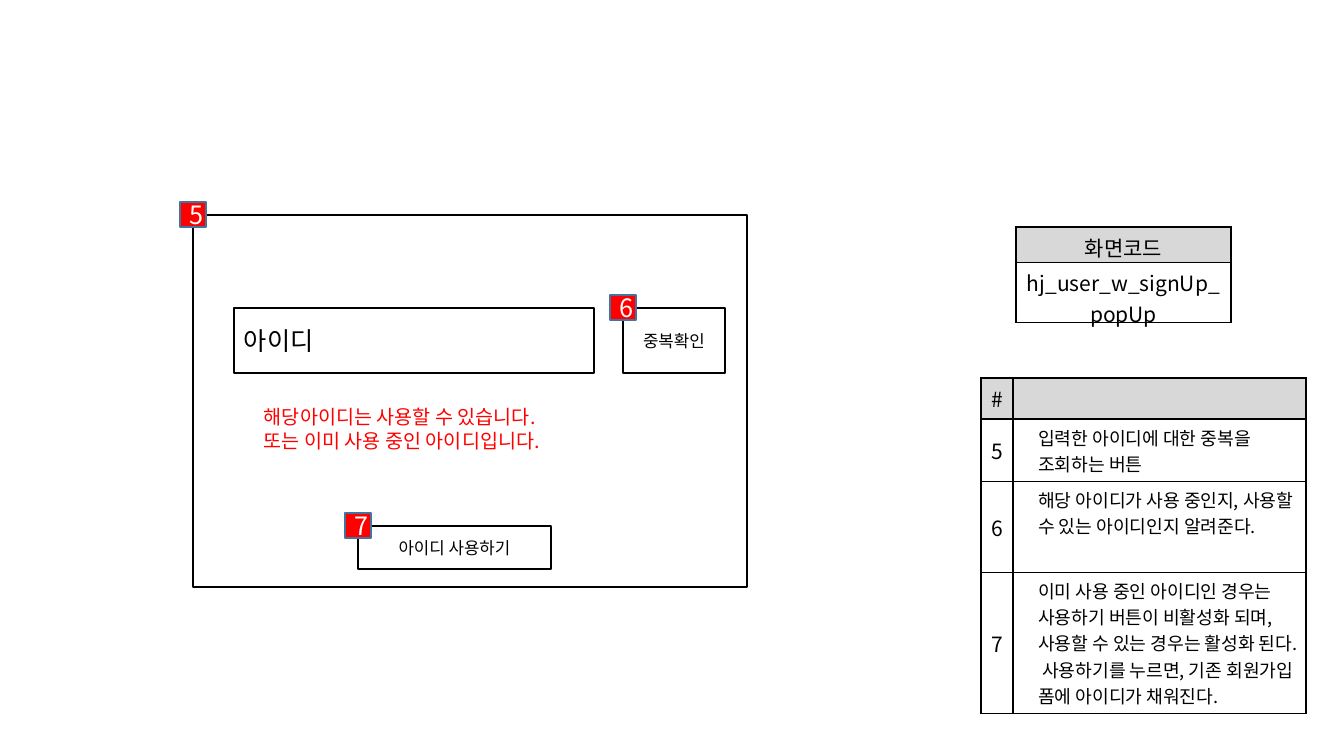
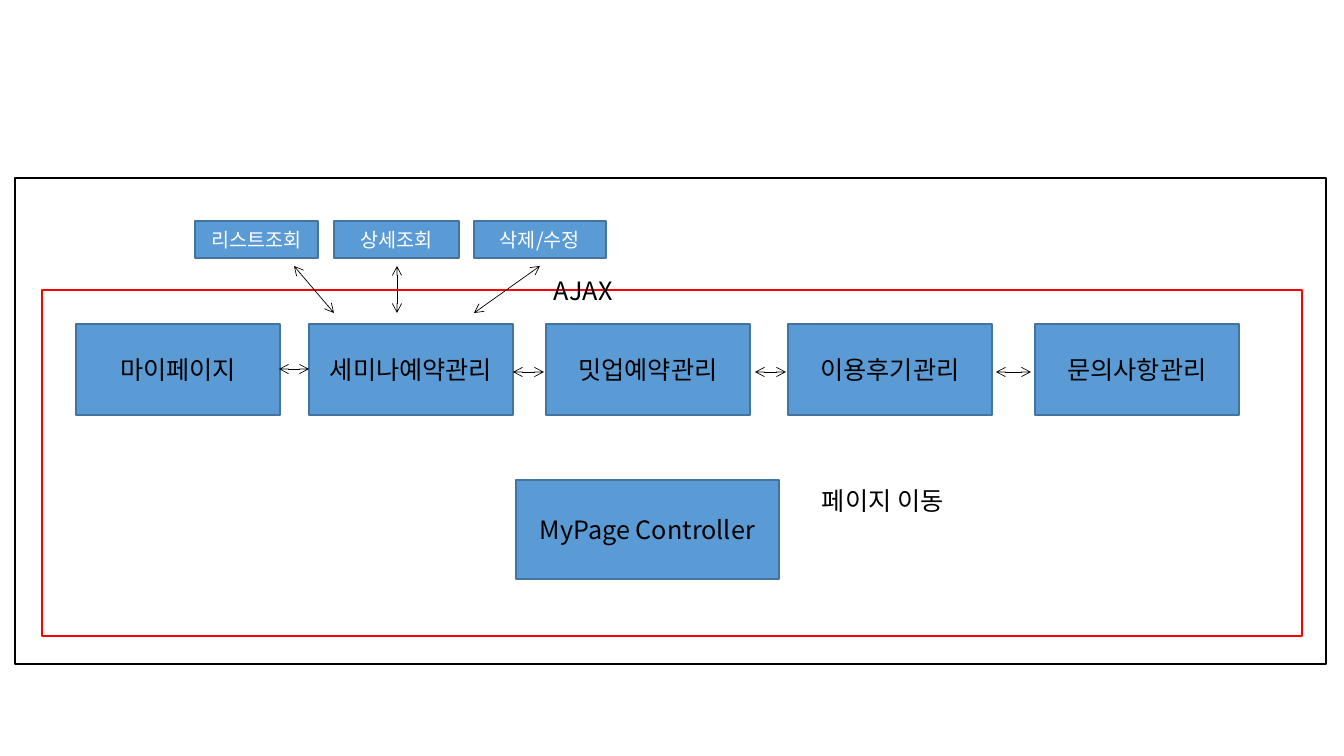
"""Build two wireframe slides: the ID check popup and the my-page flow."""
from lxml.etree import SubElement
from pptx import Presentation
from pptx.dml.color import RGBColor
from pptx.enum.shapes import MSO_CONNECTOR, MSO_SHAPE
from pptx.enum.text import MSO_ANCHOR, MSO_AUTO_SIZE, PP_ALIGN
from pptx.oxml.ns import qn
from pptx.util import Inches, Pt

FONT = "Noto Sans CJK KR"
BLACK = RGBColor(0x00, 0x00, 0x00)
WHITE = RGBColor(0xFF, 0xFF, 0xFF)
RED = RGBColor(0xFF, 0x00, 0x00)
BLUE = RGBColor(0x5B, 0x9B, 0xD5)
NAVY = RGBColor(0x43, 0x73, 0x9E)
GRAY = RGBColor(0xD8, 0xD8, 0xD8)
SCALE = Inches(1) / 100.8


def px(*nums):
    return [round(num * SCALE) for num in nums]


def style(item, form):
    for key, value in form.items():
        setattr(item, key, value)


class Deck:
    def __init__(self):
        self.show = Presentation()
        wide, high = px(1344, 756)
        style(self.show, {"slide_width": wide, "slide_height": high})
        self.page = None

    def add(self):
        self.page = self.show.slides.add_slide(self.show.slide_layouts[6])

    def text(self, frame, words, size, color=BLACK, align=PP_ALIGN.LEFT):
        for num, line in enumerate(words.split("\n")):
            para = frame.add_paragraph() if num else frame.paragraphs[0]
            para.alignment = align
            run = para.add_run()
            run.text = line
            style(run.font, {"name": FONT, "size": Pt(size)})
            run.font.color.rgb = color
            SubElement(run._r.get_or_add_rPr(), qn("a:ea"), typeface=FONT)

    def box(self, spot, words="", size=18, fill=None, edge=BLACK,
            color=BLACK, align=PP_ALIGN.CENTER):
        shape = self.page.shapes.add_shape(MSO_SHAPE.RECTANGLE, *px(*spot))
        shape.shadow.inherit = False
        if fill is None:
            shape.fill.background()
        else:
            shape.fill.solid()
            shape.fill.fore_color.rgb = fill
        shape.line.color.rgb = edge
        shape.line.width = Pt(1)
        if words:
            shape.text_frame.vertical_anchor = MSO_ANCHOR.MIDDLE
            self.text(shape.text_frame, words, size, color, align)

    def tag(self, left, top, words):
        self.box((left - 13, top - 13, 26, 25), words, 18, RED, NAVY, WHITE)

    def note(self, spot, words, size=18, color=BLACK):
        frame = self.page.shapes.add_textbox(*px(*spot)).text_frame
        style(frame, {"word_wrap": True,
                      "auto_size": MSO_AUTO_SIZE.SHAPE_TO_FIT_TEXT})
        self.text(frame, words, size, color)

    def arrow(self, *ends):
        link = self.page.shapes.add_connector(MSO_CONNECTOR.STRAIGHT, *px(*ends))
        link.line.color.rgb = BLACK
        link.line.width = Pt(0.5)
        trim = link._element.spPr
        for end in ("a:headEnd", "a:tailEnd"):
            SubElement(trim.find(qn("a:ln")), qn(end), type="arrow")
        SubElement(trim, qn("a:effectLst"))

    def cell(self, cell, words, fill, side, size, align, indent):
        hold = cell._tc.get_or_add_tcPr()
        for edge in ("a:lnL", "a:lnR", "a:lnT", "a:lnB"):
            line = SubElement(hold, qn(edge), w=str(Pt(1)))
            paint = SubElement(line, qn("a:solidFill"))
            SubElement(paint, qn("a:srgbClr"), val=str(BLACK))
        cell.fill.solid()
        cell.fill.fore_color.rgb = fill
        style(cell, {"margin_left": side, "margin_right": side})
        if align == PP_ALIGN.CENTER:
            cell.vertical_anchor = MSO_ANCHOR.MIDDLE
        if words:
            self.text(cell.text_frame, words, size, align=align)
        if indent:
            para = cell.text_frame.paragraphs[0]
            para._p.get_or_add_pPr().set("marL", str(indent))

    def table(self, spot, cols, rows, data, side):
        frame = self.page.shapes.add_table(len(rows), len(cols), *px(*spot))
        grid = frame.table
        style(grid, {"first_row": False, "horz_banding": False})
        for col, wide in zip(grid.columns, px(*cols)):
            col.width = wide
        for row, high in zip(grid.rows, px(*rows)):
            row.height = high
        frame.height = px(spot[3])[0]
        for down, line in enumerate(data):
            for across, words in enumerate(line):
                prose = across > 0
                self.cell(grid.cell(down, across), words,
                          WHITE if down else GRAY, Inches(side),
                          13 if prose else 15,
                          PP_ALIGN.LEFT if prose else PP_ALIGN.CENTER,
                          Inches(0.15) if prose else 0)


def popup(deck):
    deck.add()
    deck.table((981, 378, 325, 335), (32, 293), (41, 62, 91, 141), (
        ("#", ""),
        ("5", "입력한 아이디에 대한 중복을 조회하는 버튼"),
        ("6", "해당 아이디가 사용 중인지, 사용할 수 있는 아이디인지 알려준다."),
        ("7", "이미 사용 중인 아이디인 경우는 사용하기 버튼이 비활성화 되며, "
              "사용할 수 있는 경우는 활성화 된다. 사용하기를 누르면, "
              "기존 회원가입 폼에 아이디가 채워진다."),
    ), 0.1)
    deck.box((234, 308, 360, 65), "아이디", align=PP_ALIGN.LEFT)
    deck.note((254, 400, 400, 57),
              "해당아이디는 사용할 수 있습니다.\n또는 이미 사용 중인 아이디입니다.",
              14, RED)
    for mark, spot, words in (
        ("5", (193, 215, 554, 372), ""),
        ("6", (623, 308, 102, 65), "중복확인"),
        ("7", (358, 526, 193, 43), "아이디 사용하기"),
    ):
        deck.box(spot, words, 12)
        deck.tag(*spot[:2], mark)
    deck.table((1016, 227, 215, 96), (215,), (18, 18),
               (("화면코드",), ("hj_user_w_signUp_popUp",)), 0.08)


def flow(deck):
    deck.add()
    for left, words in ((76, "마이페이지"), (309, "세미나예약관리"),
                        (546, "밋업예약관리"), (788, "이용후기관리"),
                        (1035, "문의사항관리")):
        deck.box((left, 324, 204, 91), words, fill=BLUE, edge=NAVY)
    for left, right, top in ((279, 309, 369), (513, 544, 372),
                             (755, 786, 372), (996, 1031, 372)):
        deck.arrow(left, top, right, top)
    deck.box((516, 480, 263, 99), "MyPage Controller", fill=BLUE, edge=NAVY)
    deck.box((42, 290, 1260, 346), edge=RED)
    for left, wide, words, start, end in (
        (195, 123, "리스트조회", 294, 334),
        (334, 125, "상세조회", 397, 397),
        (474, 132, "삭제/수정", 540, 474),
    ):
        deck.box((left, 221, wide, 37), words, 14, BLUE, NAVY, WHITE)
        deck.arrow(start, 266, end, 313)
    deck.note((812, 480, 244, 40), "페이지 이동")
    deck.note((544, 270, 109, 40), "AJAX")
    deck.box((15, 178, 1311, 486))


def main():
    deck = Deck()
    popup(deck)
    flow(deck)
    deck.show.save("out.pptx")


if __name__ == "__main__":
    main()
